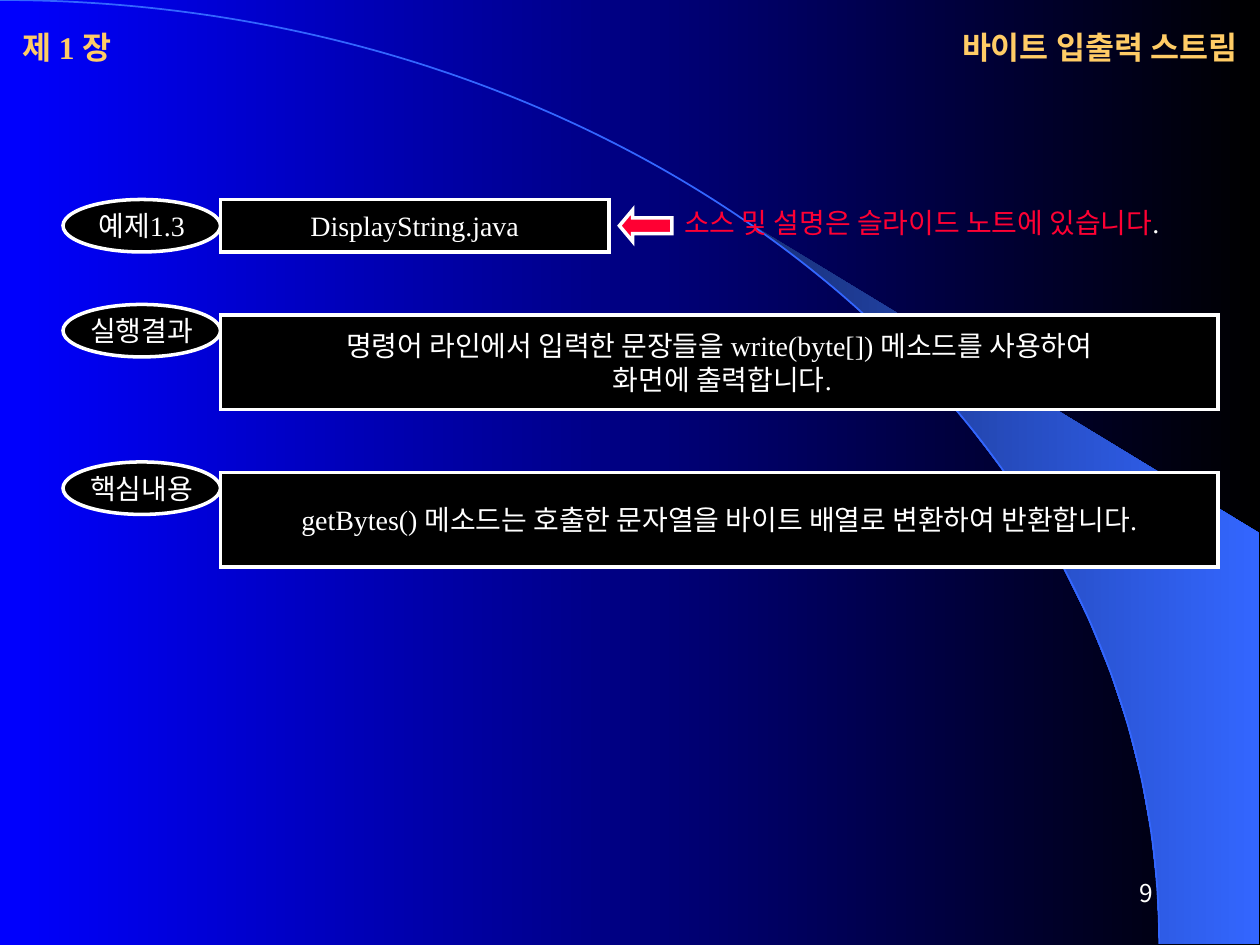
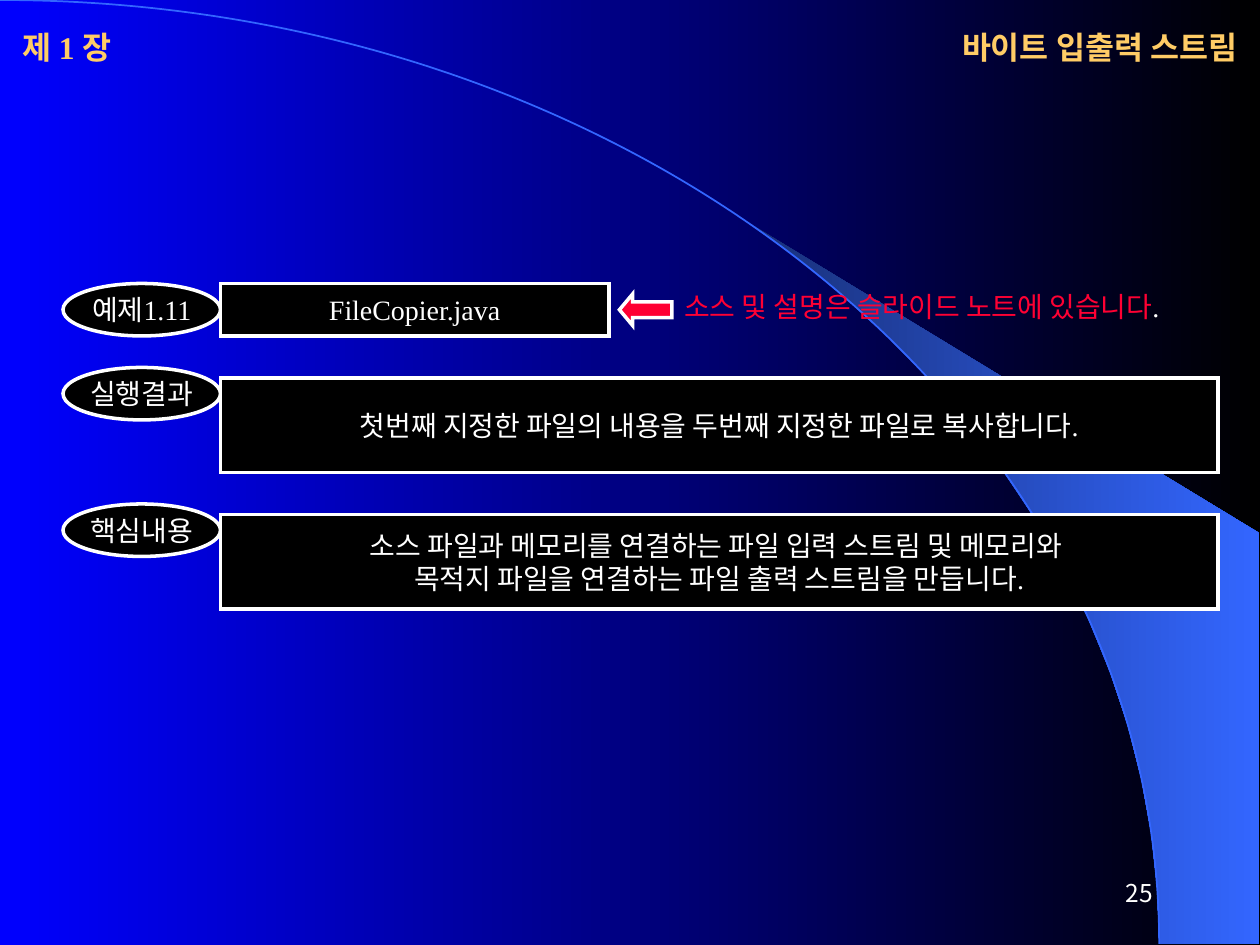
"""Builds two slides of Java byte-stream examples on a shared blue backdrop."""
from math import cos, radians, sin

from lxml import etree
from pptx import Presentation
from pptx.dml.color import RGBColor
from pptx.enum.shapes import MSO_SHAPE
from pptx.enum.text import MSO_ANCHOR, PP_ALIGN
from pptx.oxml.ns import qn
from pptx.util import Inches, Pt

LEFT, MID, RIGHT = PP_ALIGN.LEFT, PP_ALIGN.CENTER, PP_ALIGN.RIGHT
TOP, CENTER = MSO_ANCHOR.TOP, MSO_ANCHOR.MIDDLE
OVAL, RECT, ARROW = MSO_SHAPE.OVAL, MSO_SHAPE.RECTANGLE, MSO_SHAPE.LEFT_ARROW

COLORS = {"blue": "0000FF", "black": "000000", "white": "FFFFFF", "gold": "FFCC66",
          "red": "FF0033", "navy": "182F76", "sky": "3366FF"}
SERIF, SANS = "Times New Roman", "Noto Sans CJK KR"

CHAPTER, TOPIC = "제 1 장", "바이트 입출력 스트림"
NOTE = [("소스 및 설명은 슬라이드 노트에 있습니다", "red"), (".", "white")]
RESULT, POINT = "실행결과", "핵심내용"
SLIDES = [
    {"page": "9", "label": "예제1.3", "file": "DisplayString.java", "row": 19,
     "parts": [
         (29, RESULT, ["명령어 라인에서 입력한 문장들을 write(byte[]) 메소드를 사용하여",
                       " 화면에 출력합니다."]),
         (44, POINT, ["getBytes() 메소드는 호출한 문자열을 바이트 배열로 변환하여 반환합니다."])]},
    {"page": "25", "label": "예제1.11", "file": "FileCopier.java", "row": 27,
     "parts": [
         (35, RESULT, ["첫번째 지정한 파일의 내용을 두번째 지정한 파일로 복사합니다."]),
         (48, POINT, ["소스 파일과 메모리를 연결하는 파일 입력 스트림 및 메모리와 ",
                      "목적지 파일을 연결하는 파일 출력 스트림을 만듭니다."])]},
]

WIDTH, HEIGHT = 10, 7.5
CELL = 1 / 12
ARC_W, ARC_H = 9.2, 7.49
BEND = [(0, 0), (5.08, 0), (ARC_W, 3.35), (ARC_W, ARC_H)]
CORNERS = [(9.99, ARC_H), (9.99, 4.23)]
START, STEPS = 39.8, 15


def color(name):
    return RGBColor.from_string(COLORS[name])


def place(*cells):
    return [Inches(n * CELL) for n in cells]


def shade(fill, start, end):
    fill.gradient()
    fill.gradient_angle = 0
    for stop, name in zip(fill.gradient_stops, (start, end)):
        stop.color.rgb = color(name)


def write(shape, lines, size=16, tint="white", font=SERIF, bold=False,
          align=MID, anchor=CENTER, wrap=False):
    frame = shape.text_frame
    frame.word_wrap, frame.vertical_anchor = wrap, anchor
    for i, line in enumerate(lines):
        para = frame.add_paragraph() if i else frame.paragraphs[0]
        para.alignment = align
        for text, name in [(line, tint)] if isinstance(line, str) else line:
            run = para.add_run()
            run.text = text
            run.font.size, run.font.bold, run.font.name = Pt(size), bold, font
            run.font.color.rgb = color(name)


def label(slide, cells, lines, **form):
    write(slide.shapes.add_textbox(*place(*cells)), lines, **form)


def block(slide, kind, cells, lines=(), fill="black"):
    shape = slide.shapes.add_shape(kind, *place(*cells))
    shape.shadow.inherit = False
    shape.fill.solid()
    shape.fill.fore_color.rgb = color(fill)
    shape.line.color.rgb = color("white")
    shape.line.width = Pt(2)
    edge = shape._element.spPr.find(qn("a:ln"))
    etree.SubElement(edge, qn("a:miter")).set("lim", "800000")
    if lines:
        write(shape, lines)
    return shape


def trace(slide, points, close):
    (x, y), *rest = [(Inches(x), Inches(y)) for x, y in points]
    pen = slide.shapes.build_freeform(x, y)
    pen.add_line_segments(rest, close=close)
    shape = pen.convert_to_shape()
    shape.shadow.inherit = False
    return shape


def bend(shape):
    """Turn the three segments of an outline into one Bezier curve."""
    track = next(shape._element.iter(qn("a:path")))
    legs = track.findall(qn("a:lnTo"))
    curve = etree.SubElement(track, qn("a:cubicBezTo"))
    for leg in legs:
        curve.append(leg[0])
        track.remove(leg)


def frame(slide, page):
    turns = [radians(START + (90 - START) * k / STEPS) for k in range(STEPS + 1)]
    inner = [(ARC_W * sin(t), ARC_H * (1 - cos(t))) for t in turns]
    wedge = trace(slide, inner + CORNERS, True)
    shade(wedge.fill, "navy", "sky")
    wedge.line.fill.background()
    arc = trace(slide, BEND, False)
    bend(arc)
    arc.fill.background()
    arc.line.color.rgb = color("sky")
    arc.line.width = Pt(1)
    label(slide, (86, 82, 25, 6), [page], size=14, font=SANS, align=RIGHT, wrap=True)
    head = {"size": 18, "tint": "gold", "bold": True, "wrap": True}
    label(slide, (1, 2, 17, 5), [CHAPTER], align=LEFT, **head)
    label(slide, (87, 2, 32, 5), [TOPIC], align=RIGHT, **head)


def build(slide, data):
    frame(slide, data["page"])
    row = data["row"]
    block(slide, OVAL, (6, row, 15, 5), [data["label"]])
    block(slide, RECT, (21, row, 37, 5), [data["file"]])
    label(slide, (64, row, 53, 4.4), [NOTE], align=LEFT, anchor=TOP, wrap=True)
    arrow = block(slide, ARROW, (59, row + 1, 5, 3), fill="red")
    arrow.adjustments[1] = 0.42
    for row, name, lines in data["parts"]:
        block(slide, OVAL, (6, row, 15, 5), [name])
        block(slide, RECT, (21, row + 1, 95, 9), lines)


def main():
    deck = Presentation()
    deck.slide_width, deck.slide_height = Inches(WIDTH), Inches(HEIGHT)
    shade(deck.slide_master.background.fill, "blue", "black")
    for data in SLIDES:
        build(deck.slides.add_slide(deck.slide_layouts[6]), data)
    deck.save("out.pptx")


if __name__ == "__main__":
    main()
